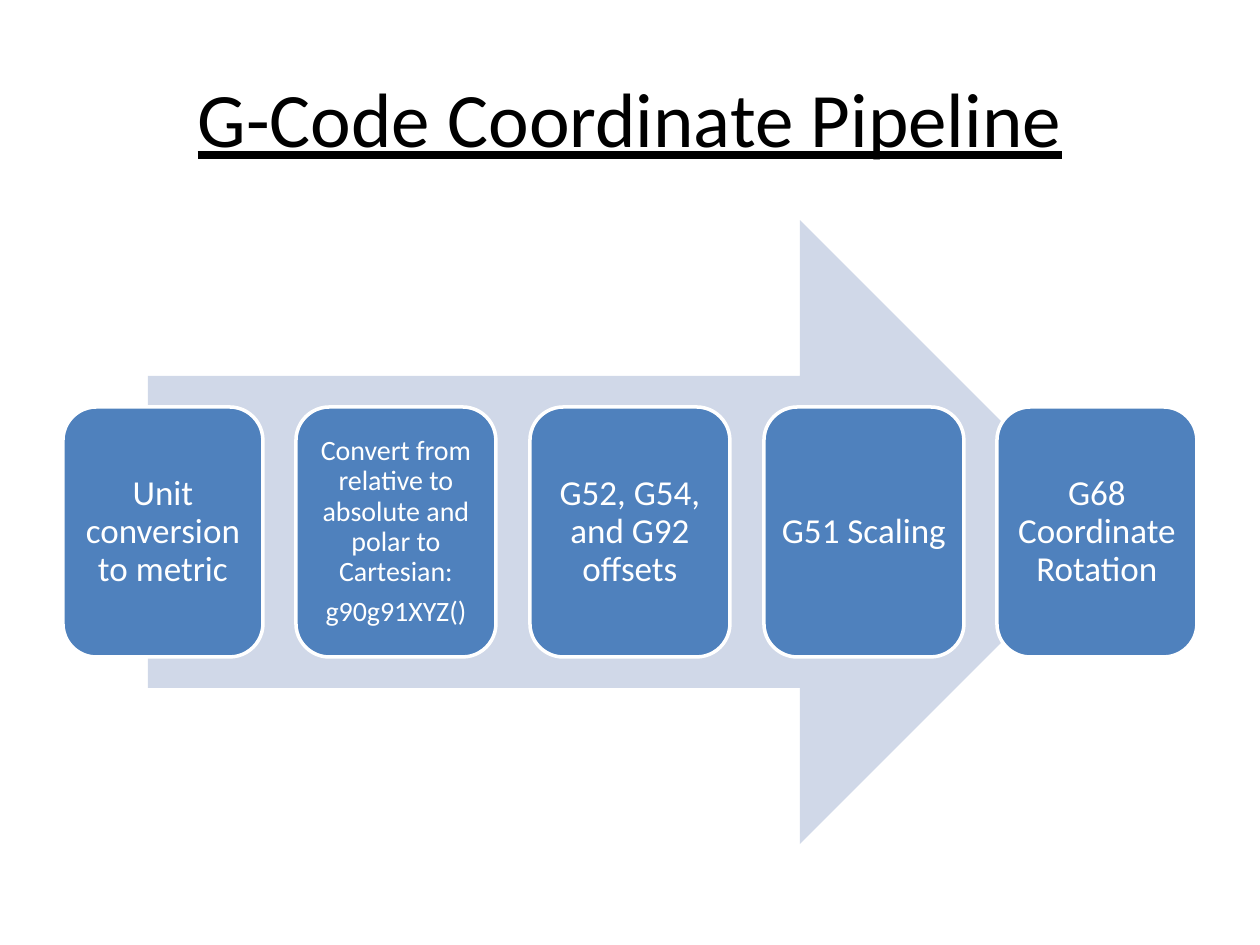
from dataclasses import dataclass

from pptx import Presentation
from pptx.dml.color import RGBColor
from pptx.enum.shapes import MSO_SHAPE
from pptx.enum.text import MSO_ANCHOR, PP_ALIGN
from pptx.shapes.autoshape import Shape
from pptx.slide import Slide
from pptx.text.text import TextFrame
from pptx.util import Emu, Pt

ARROW = MSO_SHAPE.RIGHT_ARROW
ROUNDED = MSO_SHAPE.ROUNDED_RECTANGLE
CENTER = PP_ALIGN.CENTER
MIDDLE = MSO_ANCHOR.MIDDLE

FONT = "Calibri"
BLACK, WHITE, BLUE, PALE_BLUE = "000000", "FFFFFF", "4F81BD", "D0D8E8"

PX_PER_INCH = 126
SLIDE_W, SLIDE_H = 1260, 945
MARGIN = 63
STEP_W, STEP_H, STEP_TOP = 200, 250, 407


@dataclass
class Step:
    paragraphs: list[str]
    size: int = 20


STEPS = [
    Step(["Unit conversion to metric"]),
    Step(["Convert from relative to absolute and polar to Cartesian:",
          "g90g91XYZ()"], 16),
    Step(["G52, G54, and G92 offsets"]),
    Step(["G51 Scaling"]),
    Step(["G68 Coordinate Rotation"]),
]


def px(n: int) -> Emu:
    return Emu(round(n * 914400 / PX_PER_INCH))


def rgb(color: str) -> RGBColor:
    return RGBColor.from_string(color)


def format_text(tf: TextFrame, size: int, color: str) -> None:
    tf.word_wrap = True
    tf.vertical_anchor = MIDDLE
    for p in tf.paragraphs:
        p.alignment = CENTER
        for r in p.runs:
            r.font.name = FONT
            r.font.size = Pt(size)
            r.font.color.rgb = rgb(color)


def add_filled(s: Slide, kind: MSO_SHAPE, left: int, top: int,
               width: int, height: int, fill: str) -> Shape:
    sp = s.shapes.add_shape(kind, px(left), px(top), px(width), px(height))
    sp.shadow.inherit = False
    sp.fill.solid()
    sp.fill.fore_color.rgb = rgb(fill)
    sp.line.fill.background()
    return sp


def add_step(s: Slide, step: Step, left: int) -> None:
    sp = add_filled(s, ROUNDED, left, STEP_TOP, STEP_W, STEP_H, BLUE)
    sp.line.color.rgb = rgb(WHITE)
    sp.line.width = Pt(2)
    tf = sp.text_frame
    # The rounded corners already inset the text area.
    tf.margin_left = tf.margin_right = tf.margin_top = tf.margin_bottom = 0
    tf.text = "\n".join(step.paragraphs)
    format_text(tf, step.size, WHITE)
    for p in tf.paragraphs:
        p.line_spacing = 0.9
        p.space_after = Pt(0.35 * step.size)


def add_title(s: Slide, text: str) -> None:
    title = s.shapes.title
    title.left, title.top = px(MARGIN), px(38)
    title.width, title.height = px(SLIDE_W - 2 * MARGIN), px(157)
    title.text_frame.text = text
    format_text(title.text_frame, 44, BLACK)
    title.text_frame.paragraphs[0].runs[0].font.underline = True


def main() -> None:
    prs = Presentation()
    prs.slide_width, prs.slide_height = px(SLIDE_W), px(SLIDE_H)
    s = prs.slides.add_slide(prs.slide_layouts.get_by_name("Title Only"))
    add_title(s, "G-Code Coordinate Pipeline")
    add_filled(s, ARROW, 148, 220, 964, 624, PALE_BLUE)
    pitch = (SLIDE_W - 2 * MARGIN - STEP_W) / (len(STEPS) - 1)
    for i, step in enumerate(STEPS):
        add_step(s, step, round(MARGIN + i * pitch))
    prs.save("out.pptx")


if __name__ == "__main__":
    main()
